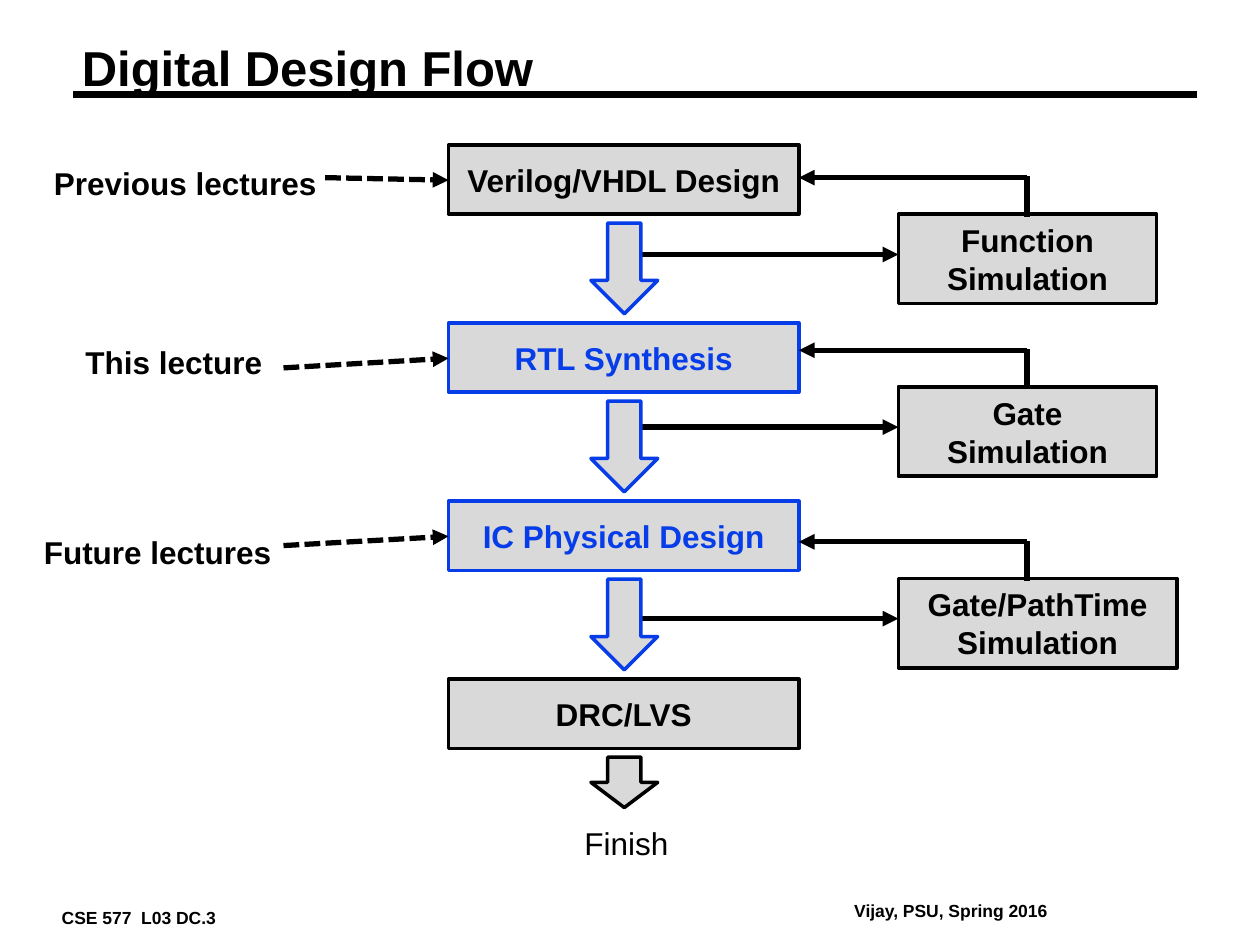
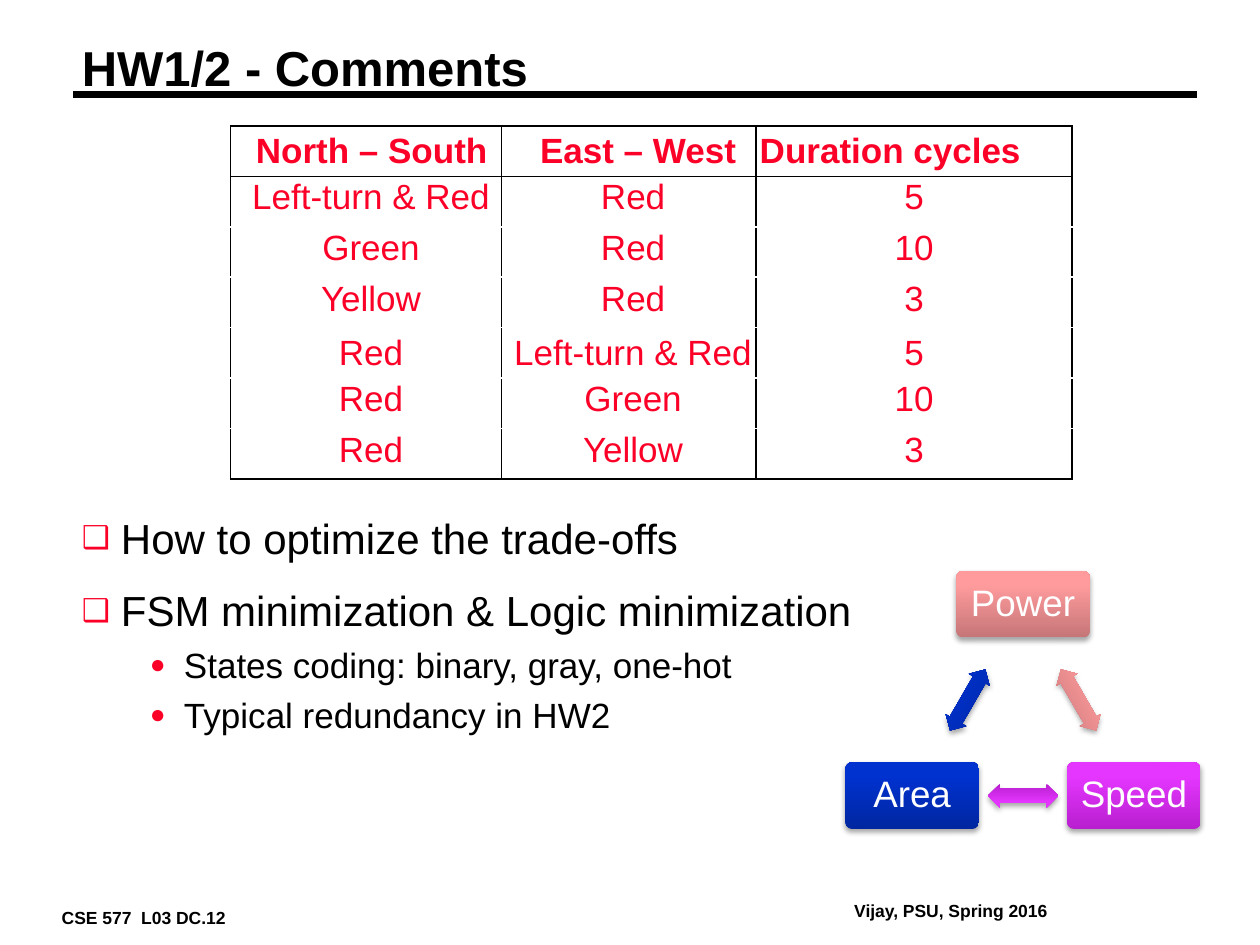
from dataclasses import dataclass
from typing import Any

from lxml import etree
from pptx import Presentation
from pptx.dml import color as c
from pptx.enum import dml, shapes, text
from pptx.oxml import ns
from pptx.util import Inches, Pt

HUES = {
    "ink": "000000", "paper": "FFFFFF", "gray": "D9D9D9", "blue": "063DE8", "red": "FC0128",
    "pink": "FF9B9D", "pink low": "C67678",
    "plum": "E536FF", "plum low": "B81FCF",
    "navy": "0032D0", "navy low": "0026A0",
}
FONT = "Arial"
KIND = shapes.MSO_SHAPE
LEFT, MID = text.PP_ALIGN.LEFT, text.PP_ALIGN.CENTER
STEP_X, STEP_W, STEP_H = 3.56, 2.78, 0.55
STEP_TOP, PITCH = 1.15, 4.24 / 3
SIM_X, SIM_H, SIM_MID = 7.13, 0.71, 8.15
NODE_W, NODE_H = 1.06, 0.53
LINK_W, LINK_H = 0.56, 0.19


@dataclass
class Step:
    name: str
    hue: str
    flow: str
    drop: float


@dataclass
class Sim:
    name: str
    top: float
    width: float


@dataclass
class Note:
    name: str
    left: float
    top: float
    width: float
    start: tuple[float, float]


@dataclass
class Node:
    name: str
    left: float
    top: float
    hue: str


@dataclass
class Point:
    words: str
    size: int
    indent: float
    hang: float
    lines: float
    gap: int
    mark: str


STEPS = [
    Step("Verilog/VHDL Design", "ink", "blue", 0.72),
    Step("RTL Synthesis", "blue", "blue", 0.72),
    Step("IC Physical Design", "blue", "blue", 0.72),
    Step("DRC/LVS", "ink", "ink", 0.4),
]
SIMS = [
    Sim("Function\nSimulation", 1.7, 2.05),
    Sim("Gate\nSimulation", 3.07, 2.05),
    Sim("Gate/PathTime\nSimulation", 4.59, 2.21),
]
NOTES = [
    Note("Previous lectures", 0.33, 1.25, 2.31, (2.58, 1.41)),
    Note("This lecture", 0.58, 2.67, 1.62, (2.25, 2.92)),
    Note("Future lectures", 0.25, 4.18, 2.03, (2.25, 4.33)),
]
NODES = [
    Node("Power", 7.59, 4.53, "pink"),
    Node("Speed", 8.47, 6.05, "plum"),
    Node("Area", 6.71, 6.05, "navy"),
]
POINTS = [
    Point("How to optimize the trade-offs", 24, 0.31, 0.31, 0.9, 65, "❑"),
    Point("FSM minimization & Logic minimization", 24, 0.31, 0.31, 0.9, 65, "❑"),
    Point("States coding: binary, gray, one-hot", 20, 0.81, 0.27, 0.85, 40, "●"),
    Point("Typical redundancy in HW2", 20, 0.81, 0.27, 0.85, 40, "●"),
]
ROWS = [
    ("North – South", "East – West", "Duration cycles"),
    ("Left-turn & Red", "Red", "5"),
    ("Green", "Red", "10"),
    ("Yellow", "Red", "3"),
    ("Red", "Left-turn & Red", "5"),
    ("Red", "Green", "10"),
    ("Red", "Yellow", "3"),
]
WIDTHS = (2.15, 2.02, 2.51)
HEAD_PADS, BODY_PADS = (0.09, 0.15, 0.03), (0.08, 0.07, 0)
LEADS = (None, 17.8, 18.3, 18.3, None, 18.3, 18.3)


def rgb(hue: str) -> c.RGBColor:
    return c.RGBColor.from_string(HUES[hue])


def sub(root: Any, tag: str, **attrs: Any) -> Any:
    return etree.SubElement(root, ns.qn(tag), {k: str(v) for k, v in attrs.items()})


def style(frame: Any, size: float, hue: str = "ink", bold: bool = False, align: Any = LEFT) -> None:
    for para in frame.paragraphs:
        para.alignment = align
        for run in para.runs:
            run.font.name, run.font.size, run.font.bold = FONT, Pt(size), bold
            run.font.color.rgb = rgb(hue)


def pad(frame: Any, side: float, edge: float) -> None:
    frame.margin_left = frame.margin_right = Inches(side)
    frame.margin_top = frame.margin_bottom = Inches(edge)


def place(shape: Any, left: float, top: float, width: float, height: float) -> None:
    shape.left, shape.top = Inches(left), Inches(top)
    shape.width, shape.height = Inches(width), Inches(height)


def label(slide: Any, words: str, left: float, top: float, width: float, height: float = 0.4,
          size: float = 18, bold: bool = True) -> Any:
    box = slide.shapes.add_textbox(0, 0, 0, 0)
    place(box, left, top, width, height)
    frame = box.text_frame
    frame.text = words
    frame.word_wrap = False
    frame.auto_size = text.MSO_AUTO_SIZE.SHAPE_TO_FIT_TEXT
    style(frame, size, bold=bold)
    return frame


def wire(slide: Any, start: tuple[float, float], end: tuple[float, float], width: float = 3,
         head: bool = False, dash: bool = False) -> None:
    spots = [Inches(n) for n in (*start, *end)]
    link = slide.shapes.add_connector(shapes.MSO_CONNECTOR.STRAIGHT, *spots)
    link.line.color.rgb = rgb("ink")
    link.line.width = Pt(width)
    if dash:
        link.line.dash_style = dml.MSO_LINE.SQUARE_DOT
    if head:
        sub(link.line._get_or_add_ln(), "a:tailEnd", type="triangle")
    sub(link._element.spPr, "a:effectLst")


def block(slide: Any, kind: Any, left: float, top: float, width: float, height: float,
          hue: str, words: str = "") -> None:
    shape = slide.shapes.add_shape(kind, 0, 0, 0, 0)
    place(shape, left, top, width, height)
    shape.shadow.inherit = False
    shape.fill.solid()
    shape.fill.fore_color.rgb = rgb("gray")
    shape.line.color.rgb = rgb(hue)
    shape.line.width = Pt(2)
    if words:
        frame = shape.text_frame
        frame.text = words
        frame.word_wrap = True
        frame.vertical_anchor = text.MSO_ANCHOR.MIDDLE
        style(frame, 18, hue, True, MID)


def gloss(slide: Any, kind: Any, left: float, top: float, width: float, height: float,
          hue: str, bends: tuple[float, ...]) -> Any:
    shape = slide.shapes.add_shape(kind, 0, 0, 0, 0)
    place(shape, left, top, width, height)
    for i, bend in enumerate(bends):
        shape.adjustments[i] = bend
    shape.line.fill.background()
    shape.fill.gradient()
    shape.fill.gradient_angle = 90
    for stop, spot, tone in zip(shape.fill.gradient_stops, (0, 0.8), (hue + " low", hue)):
        stop.position = spot
        stop.color.rgb = rgb(tone)
    glow = sub(sub(shape._element.spPr, "a:effectLst"), "a:outerShdw", blurRad=Pt(3.1),
               dist=Pt(1.8), dir=5400000, rotWithShape=0)
    sub(sub(glow, "a:srgbClr", val=HUES["ink"]), "a:alpha", val=35000)
    return shape


def start(deck: Any, title: str, page: int) -> Any:
    slide = deck.slides.add_slide(deck.slide_layouts[5])
    pad(label(slide, f"CSE 577  L03 DC.{page}", 0.42, 7.17, 1.47, 0.22, 10), 0.07, 0.03)
    pad(label(slide, "Vijay, PSU, Spring 2016", 6.71, 7.11, 1.7, 0.22, 10), 0.07, 0.03)
    wire(slide, (0.58, 0.75), (9.5, 0.75), 4.5)
    head = slide.shapes.title
    place(head, 0.58, 0.33, 8.92, 0.46)
    frame = head.text_frame
    frame.text = title
    frame.auto_size = text.MSO_AUTO_SIZE.SHAPE_TO_FIT_TEXT
    frame.vertical_anchor = text.MSO_ANCHOR.TOP
    frame.paragraphs[0].line_spacing = 0.87
    pad(frame, 0.07, 0.03)
    style(frame, 28, bold=True)
    return slide


def draw_flow(slide: Any) -> None:
    for sim in SIMS:
        wire(slide, (5.08, sim.top + 0.32), (SIM_X, sim.top + 0.32), head=True)
    for i, step in enumerate(STEPS):
        top = STEP_TOP + i * PITCH
        block(slide, KIND.RECTANGLE, STEP_X, top, STEP_W, STEP_H, step.hue, step.name)
        block(slide, KIND.DOWN_ARROW, 4.69, top + 0.62, 0.53, step.drop, step.flow)
    for sim in SIMS:
        block(slide, KIND.RECTANGLE, SIM_X, sim.top, sim.width, SIM_H, "ink", sim.name)
        back = sim.top - 0.29
        wire(slide, (SIM_MID, back), (STEP_X + STEP_W, back), head=True)
        wire(slide, (SIM_MID, sim.top + 0.02), (SIM_MID, back - 0.01))
    for i, note in enumerate(NOTES):
        label(slide, note.name, note.left, note.top, note.width)
        wire(slide, note.start, (STEP_X, STEP_TOP + i * PITCH + 0.28), head=True, dash=True)
    label(slide, "Finish", 4.54, 6.49, 0.88, bold=False)


def draw_table(slide: Any) -> None:
    spots = [Inches(n) for n in (1.83, 1, sum(WIDTHS), 0.4 * len(ROWS))]
    grid = slide.shapes.add_table(len(ROWS), len(WIDTHS), *spots).table
    grid.first_row = grid.horz_banding = False
    for col, width in zip(grid.columns, WIDTHS):
        col.width = Inches(width)
    for r, row in enumerate(ROWS):
        for k, words in enumerate(row):
            cell = grid.cell(r, k)
            cell.text = words
            cell.vertical_anchor = text.MSO_ANCHOR.MIDDLE
            pad(cell, 0, 0)
            align = LEFT if (r, k) == (0, 2) else MID
            style(cell.text_frame, 20, "red", r == 0, align)
            para = cell.text_frame.paragraphs[0]
            if LEADS[r]:
                para.line_spacing = Pt(LEADS[r])
            inset = (BODY_PADS if r else HEAD_PADS)[k]
            para._p.get_or_add_pPr().set("marL", str(Inches(inset)))
            sides = ["a:lnL", "a:lnR"]
            if r < 2:
                sides.append("a:lnT")
            if r in (0, len(ROWS) - 1):
                sides.append("a:lnB")
            for side in sides:
                edge = sub(cell._tc.get_or_add_tcPr(), side, w=Pt(1))
                sub(sub(edge, "a:solidFill"), "a:srgbClr", val=HUES["ink"])
            cell.fill.solid()
            cell.fill.fore_color.rgb = rgb("paper")


def draw_points(slide: Any) -> None:
    frame = label(slide, "\n".join(p.words for p in POINTS), 0.58, 4.08, 8.92, 1.89)
    frame.word_wrap = True
    pad(frame, 0.07, 0.03)
    style(frame, 24)
    for para, point in zip(frame.paragraphs, POINTS):
        para.runs[0].font.size = Pt(point.size)
        para.line_spacing = point.lines
        props = para._p.get_or_add_pPr()
        props.set("marL", str(Inches(point.indent)))
        props.set("indent", str(-Inches(point.hang)))
        sub(sub(props, "a:spcBef"), "a:spcPct", val=point.gap * 1000)
        sub(sub(props, "a:buClr"), "a:srgbClr", val=HUES["red"])
        sub(props, "a:buSzPct", val=75000)
        sub(props, "a:buFont", typeface=FONT)
        sub(props, "a:buChar", char=point.mark)


def draw_cycle(slide: Any) -> None:
    for i, node in enumerate(NODES):
        card = gloss(slide, KIND.ROUNDED_RECTANGLE, node.left, node.top, NODE_W, NODE_H,
                     node.hue, (0.1,))
        frame = card.text_frame
        frame.text = node.name
        frame.word_wrap = False
        frame.vertical_anchor = text.MSO_ANCHOR.MIDDLE
        frame.paragraphs[0].line_spacing = 0.9
        pad(frame, 0.09, 0.09)
        style(frame, 21, "paper", align=MID)
        peer = NODES[(i + 1) % len(NODES)]
        left = (node.left + peer.left + NODE_W - LINK_W) / 2
        top = (node.top + peer.top + NODE_H - LINK_H) / 2
        link = gloss(slide, KIND.LEFT_RIGHT_ARROW, left, top, LINK_W, LINK_H, node.hue, (0.6, 0.5))
        link.rotation = 60 + 120 * i


def main() -> None:
    deck = Presentation()
    deck.slide_width, deck.slide_height = Inches(10), Inches(7.5)
    draw_flow(start(deck, "Digital Design Flow", 3))
    slide = start(deck, "HW1/2 - Comments", 12)
    draw_points(slide)
    draw_cycle(slide)
    draw_table(slide)
    deck.save("out.pptx")


if __name__ == "__main__":
    main()
